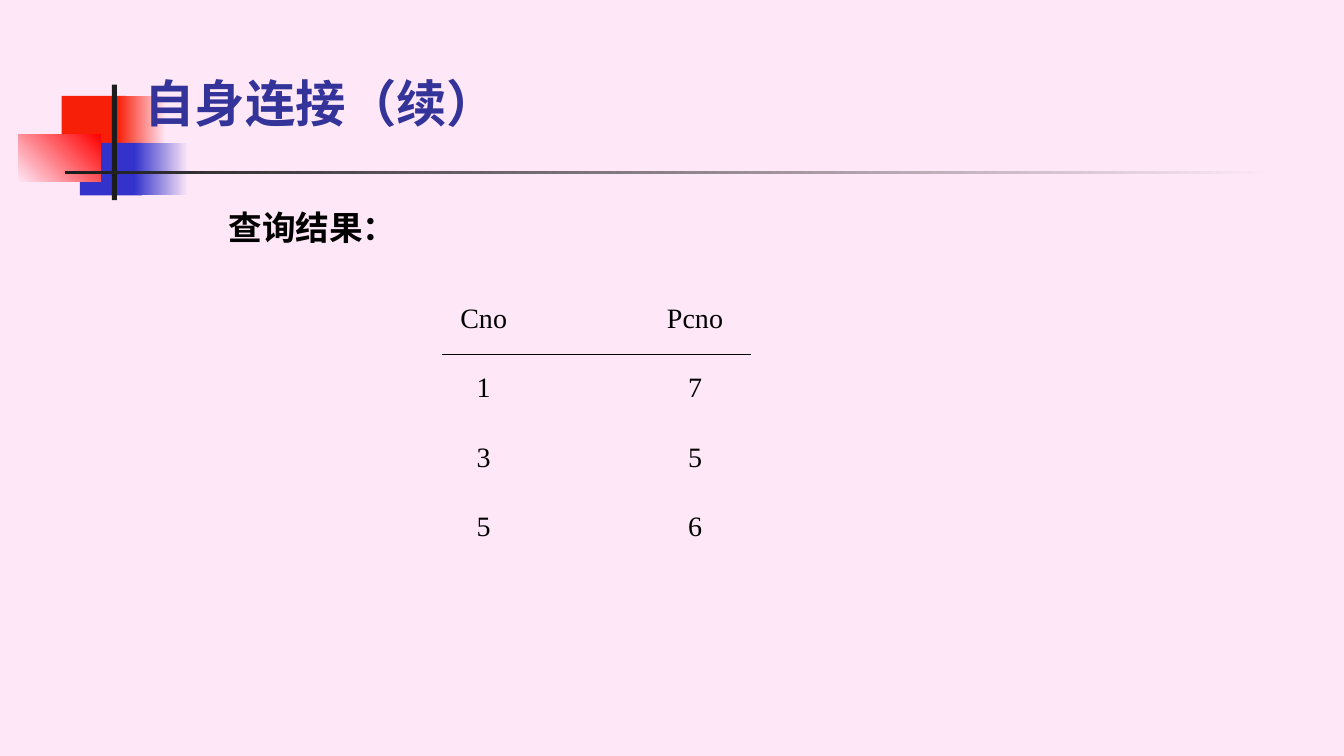
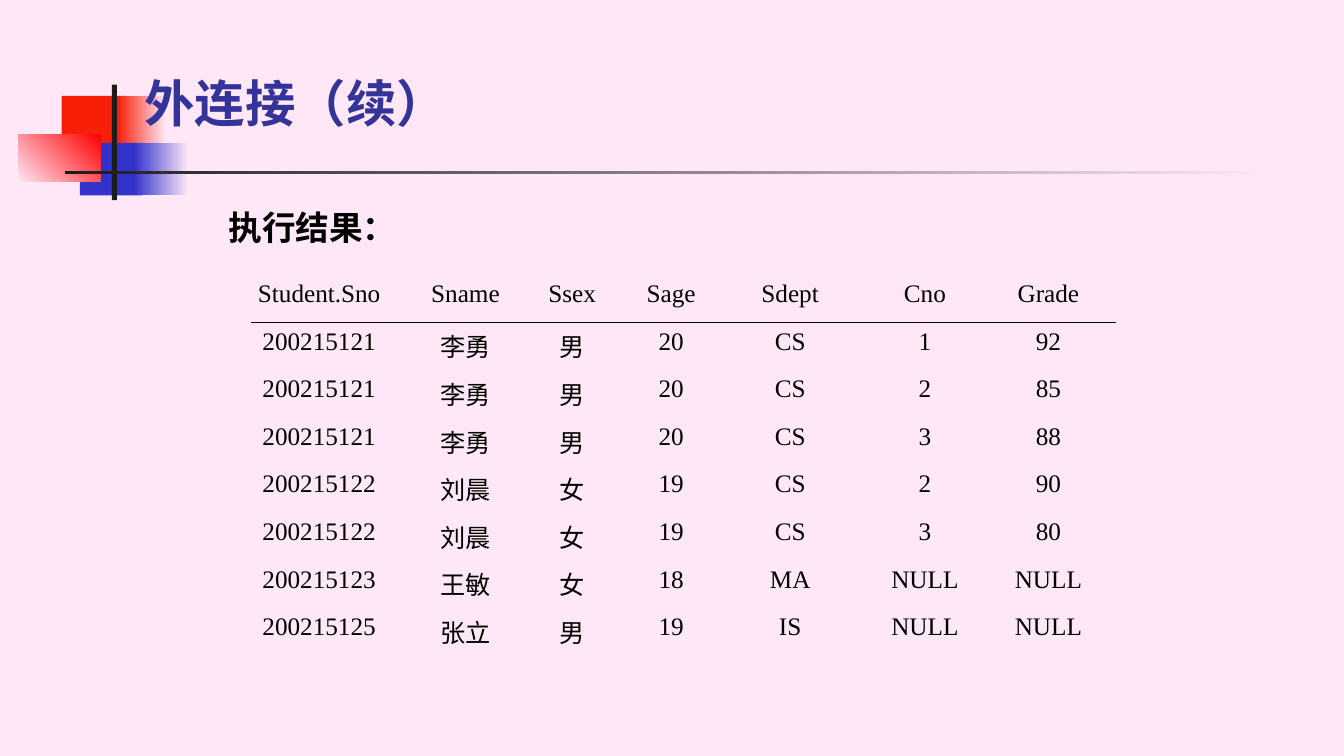
from dataclasses import dataclass
from typing import Optional

from lxml.etree import SubElement
from pptx import Presentation
from pptx.dml.color import RGBColor
from pptx.enum.lang import MSO_LANGUAGE_ID
from pptx.enum.shapes import MSO_CONNECTOR, MSO_SHAPE
from pptx.enum.text import MSO_ANCHOR, MSO_AUTO_SIZE, PP_ALIGN
from pptx.oxml.ns import qn
from pptx.presentation import Presentation as Deck
from pptx.slide import Slide
from pptx.text.text import _Paragraph as Paragraph
from pptx.util import Pt

PINK = RGBColor(0xFE, 0xE8, 0xF7)
ORANGE_RED = RGBColor(0xF8, 0x1F, 0x08)
RED = RGBColor(0xFF, 0x00, 0x00)
BLUE = RGBColor(0x33, 0x33, 0xCC)
NAVY = RGBColor(0x33, 0x33, 0x99)
CHARCOAL = RGBColor(0x1C, 0x1C, 0x1C)
BLACK = RGBColor(0x00, 0x00, 0x00)

HEADING_FONT = "Calibri"
TABLE_FONT = "Times New Roman"
NO_GRID_STYLE = "{2D5ABB26-0587-4C30-8999-92F81FD0307C}"


@dataclass(frozen=True)
class Band:
    left: float
    top: float
    width: float
    height: float
    color: RGBColor
    fade_to: Optional[RGBColor] = None
    angle: float = 0


@dataclass(frozen=True)
class ResultTable:
    left: float
    top: float
    columns: tuple[float, ...]
    row_height: float
    font_size: float
    rows: tuple[tuple[str, ...], ...]
    rule_start: float
    rule_end: float
    rule_y: float


@dataclass(frozen=True)
class ResultSlide:
    title: str
    caption: str
    caption_height: float
    caption_align: PP_ALIGN
    result: ResultTable


BANDS = (
    Band(44, 68.5, 46, 37.5, ORANGE_RED),
    Band(84, 68.5, 34.5, 37.5, ORANGE_RED, PINK),
    Band(57, 102, 44.5, 37.5, BLUE),
    Band(96, 102, 38.5, 37.5, BLUE, PINK),
    Band(13, 96, 59, 34, PINK, RED, 45),
    Band(80, 60.5, 3.5, 82.5, CHARCOAL),
    Band(46.5, 122, 864, 2.5, CHARCOAL, PINK),
)

SELF_JOIN = ResultTable(
    270, 213, (151, 151), 49.7, 20,
    (("Cno", "Pcno"), ("1", "7"), ("3", "5"), ("5", "6")),
    315.5, 536.5, 253,
)

OUTER_JOIN = ResultTable(
    163, 196.5, (130, 79, 73.5, 68, 102, 90.5, 86), 34, 18,
    (
        ("Student.Sno", "Sname", "Ssex", "Sage", "Sdept", "Cno", "Grade"),
        ("200215121", "李勇", "男", "20", "CS", "1", "92"),
        ("200215121", "李勇", "男", "20", "CS", "2", "85"),
        ("200215121", "李勇", "男", "20", "CS", "3", "88"),
        ("200215122", "刘晨", "女", "19", "CS", "2", "90"),
        ("200215122", "刘晨", "女", "19", "CS", "3", "80"),
        ("200215123", "王敏", "女", "18", "MA", "NULL", "NULL"),
        ("200215125", "张立", "男", "19", "IS", "NULL", "NULL"),
    ),
    179.5, 797.5, 230.5,
)

SLIDES = (
    ResultSlide("自身连接（续）", "查询结果：", 47, PP_ALIGN.LEFT, SELF_JOIN),
    ResultSlide("外连接（续）", "执行结果：", 35, PP_ALIGN.JUSTIFY, OUTER_JOIN),
)


def format_runs(paragraph: Paragraph, font_name: str, size: float,
                color: RGBColor, bold: bool) -> None:
    for run in paragraph.runs:
        run.font.name = font_name
        run.font.size = Pt(size)
        run.font.bold = bold
        run.font.color.rgb = color
        run.font.language_id = MSO_LANGUAGE_ID.SIMPLIFIED_CHINESE


def add_band(slide: Slide, band: Band):
    block = slide.shapes.add_shape(
        MSO_SHAPE.RECTANGLE, Pt(band.left), Pt(band.top), Pt(band.width), Pt(band.height)
    )
    block.shadow.inherit = False
    block.line.fill.background()
    if band.fade_to is None:
        block.fill.solid()
        block.fill.fore_color.rgb = band.color
    else:
        block.fill.gradient()
        block.fill.gradient_angle = band.angle
        for stop, color in zip(block.fill.gradient_stops, (band.color, band.fade_to)):
            stop.color.rgb = color
    return block


def decorate_master(deck: Deck, drafting_slide: Slide) -> None:
    master = deck.slide_master
    master.background.fill.solid()
    master.background.fill.fore_color.rgb = PINK
    master_tree = master.element.cSld.spTree
    for band in BANDS:
        master_tree.append(add_band(drafting_slide, band).element)


def fill_heading(slide: Slide, content: ResultSlide) -> None:
    title = slide.shapes.title
    title.left, title.top, title.width, title.height = Pt(96), Pt(54), Pt(776), Pt(44.5)
    title.text_frame.text = content.title
    title.text_frame.auto_size = MSO_AUTO_SIZE.NONE
    title.text_frame.vertical_anchor = MSO_ANCHOR.BOTTOM
    heading = title.text_frame.paragraphs[0]
    heading.alignment = PP_ALIGN.LEFT
    format_runs(heading, HEADING_FONT, 36, NAVY, True)

    body = slide.placeholders[1]
    body.left, body.top = Pt(156), Pt(144)
    body.width, body.height = Pt(318), Pt(content.caption_height)
    body.text_frame.text = content.caption
    body.text_frame.auto_size = MSO_AUTO_SIZE.NONE
    caption = body.text_frame.paragraphs[0]
    caption.alignment = content.caption_align
    SubElement(caption._p.get_or_add_pPr(), qn("a:buNone"))
    format_runs(caption, HEADING_FONT, 24, BLACK, True)


def add_result_table(slide: Slide, result: ResultTable) -> None:
    frame = slide.shapes.add_table(
        len(result.rows), len(result.columns), Pt(result.left), Pt(result.top),
        Pt(sum(result.columns)), Pt(result.row_height * len(result.rows)),
    )
    grid = frame.table
    grid.first_row = False
    grid.horz_banding = False
    frame.element.find(".//" + qn("a:tableStyleId")).text = NO_GRID_STYLE
    for column, width in zip(grid.columns, result.columns):
        column.width = Pt(width)
    for row, values in zip(grid.rows, result.rows):
        row.height = Pt(result.row_height)
        for cell, value in zip(row.cells, values):
            cell.fill.background()
            cell.text_frame.text = value
            entry = cell.text_frame.paragraphs[0]
            entry.alignment = PP_ALIGN.CENTER
            format_runs(entry, TABLE_FONT, result.font_size, BLACK, False)


def add_header_rule(slide: Slide, result: ResultTable) -> None:
    rule = slide.shapes.add_connector(
        MSO_CONNECTOR.STRAIGHT, Pt(result.rule_start), Pt(result.rule_y),
        Pt(result.rule_end), Pt(result.rule_y),
    )
    rule.line.color.rgb = BLACK
    rule.line.width = Pt(0.75)
    SubElement(rule.element.spPr, qn("a:effectLst"))


def main() -> None:
    deck = Presentation()
    deck.slide_width, deck.slide_height = Pt(960), Pt(540)
    for number, content in enumerate(SLIDES):
        slide = deck.slides.add_slide(deck.slide_layouts[1])
        if number == 0:
            decorate_master(deck, slide)
        fill_heading(slide, content)
        add_result_table(slide, content.result)
        add_header_rule(slide, content.result)
    deck.save("out.pptx")


if __name__ == "__main__":
    main()
